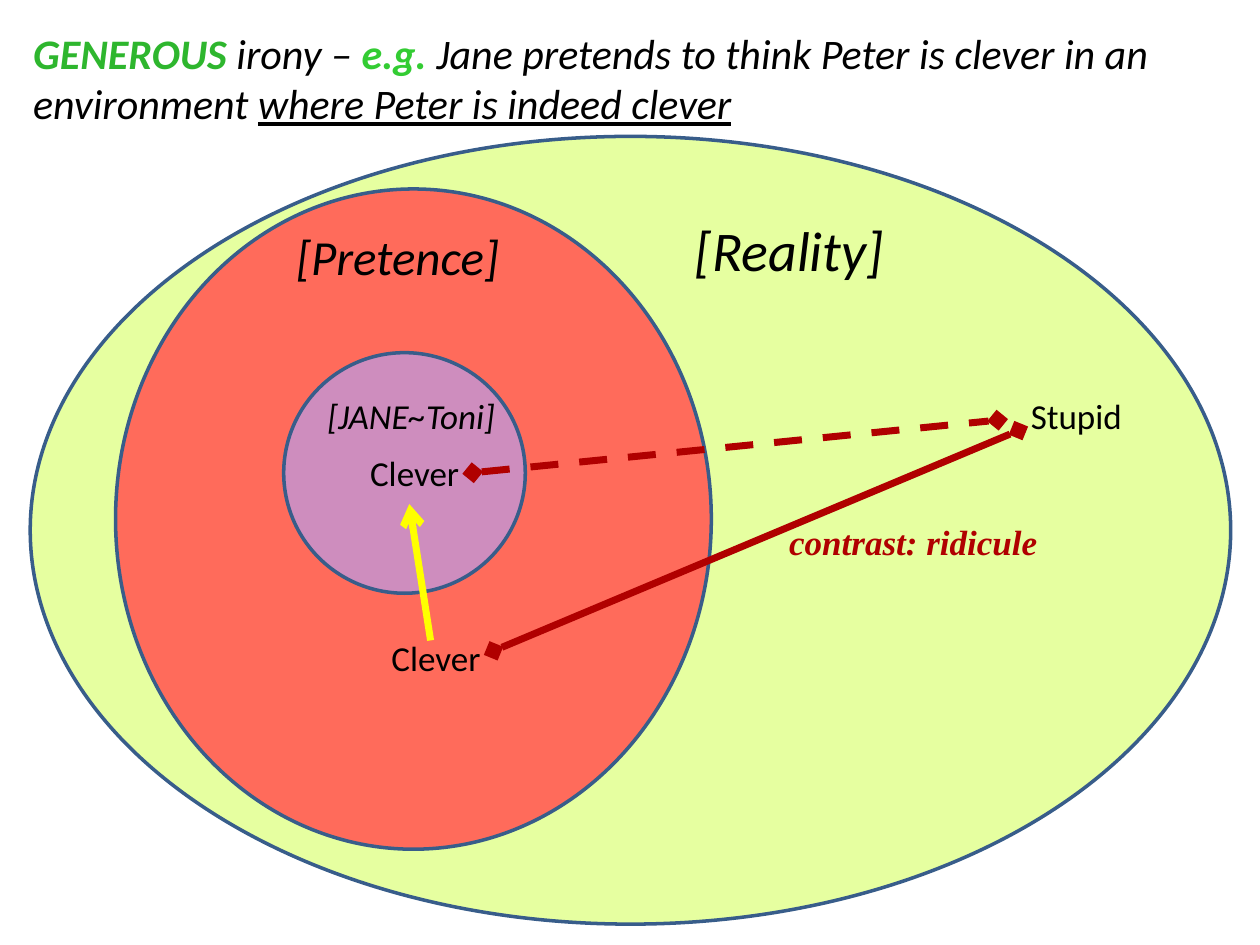
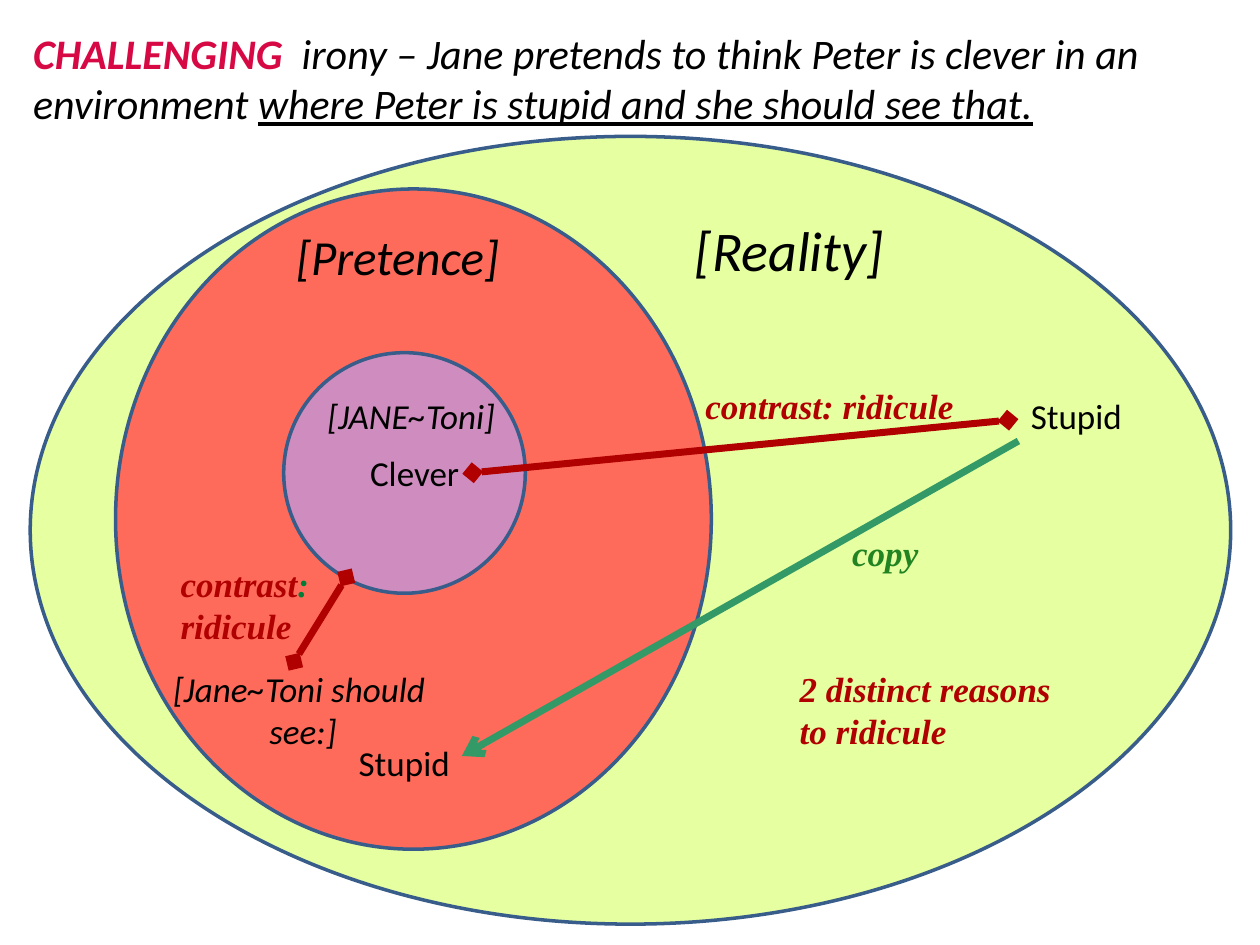
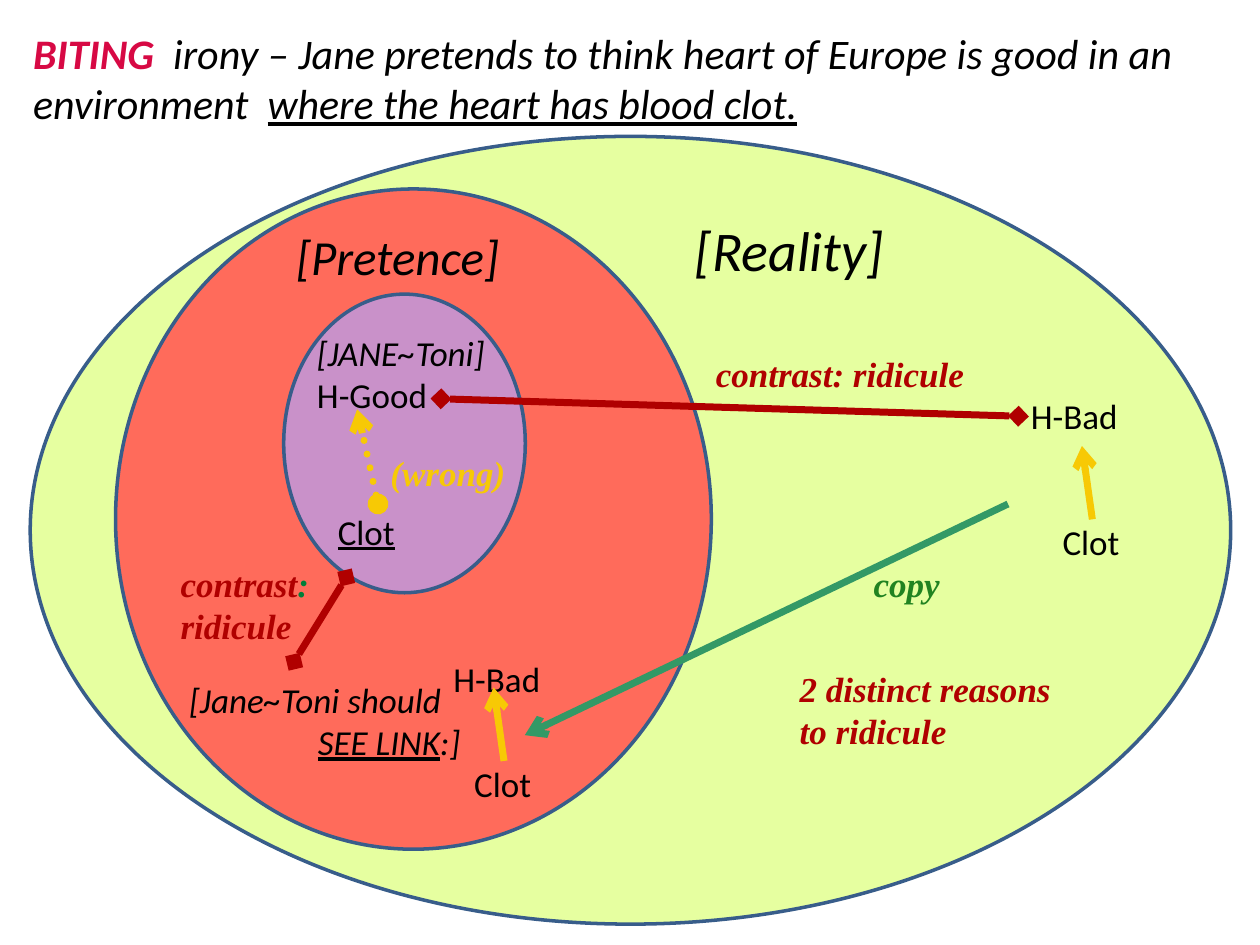
from lxml.etree import SubElement
from pptx import Presentation
from pptx.dml.color import RGBColor
from pptx.enum.dml import MSO_LINE
from pptx.enum.shapes import MSO_CONNECTOR, MSO_SHAPE
from pptx.enum.text import MSO_AUTO_SIZE, PP_ALIGN
from pptx.oxml.ns import qn
from pptx.util import Cm, Pt

BLACK = RGBColor(0x00, 0x00, 0x00)
OUTLINE_BLUE = RGBColor(0x38, 0x5D, 0x8A)
REALITY_LIME = RGBColor(0xDD, 0xFF, 0x7D)
PRETENCE_RED = RGBColor(0xFF, 0x6B, 0x5B)
MIND_MAUVE = RGBColor(0xC9, 0x91, 0xC9)
CONTRAST_RED = RGBColor(0xB0, 0x00, 0x00)
COPY_LINE_GREEN = RGBColor(0x33, 0x99, 0x66)
COPY_TEXT_GREEN = RGBColor(0x21, 0x83, 0x21)
COLON_GREEN = RGBColor(0x00, 0x7E, 0x39)
GENEROUS_GREEN = RGBColor(0x2E, 0xB6, 0x2E)
EXAMPLE_GREEN = RGBColor(0x33, 0xCC, 0x33)
HARSH_PINK = RGBColor(0xD7, 0x09, 0x44)
YELLOW = RGBColor(0xFF, 0xFF, 0x00)
GOLD = RGBColor(0xF7, 0xC9, 0x05)

PLAIN = {"name": "Calibri", "size": Pt(20), "color": BLACK}
ITALIC = {**PLAIN, "italic": True}
UNDERLINED = {**PLAIN, "underline": True}
TITLE = {**ITALIC, "size": Pt(24)}
TITLE_UNDERLINED = {**TITLE, "underline": True}
NOTE = {"name": "Times New Roman", "size": Pt(20), "bold": True,
        "italic": True, "color": CONTRAST_RED}

ONE_LINE, TWO_LINES = 1.12, 1.96
ROUND_MIND = (5.72, 7.11, 4.87, 4.85)
TALL_MIND = (5.72, 5.93, 4.87, 6.02)


def title_key(text, color):
    return text, {**TITLE, "bold": True, "color": color}


def add_runs(paragraph, runs):
    for text, format_values in runs:
        run = paragraph.add_run()
        run.text = text
        for attribute, value in format_values.items():
            if attribute == "color":
                run.font.color.rgb = value
            else:
                setattr(run.font, attribute, value)


def add_text(slide, left, top, width, height, *paragraphs, align=PP_ALIGN.LEFT):
    """Add a text box; each paragraph is a list of (text, format) runs."""
    box = slide.shapes.add_textbox(Cm(left), Cm(top), Cm(width), Cm(height))
    frame = box.text_frame
    frame.word_wrap = True
    frame.auto_size = MSO_AUTO_SIZE.SHAPE_TO_FIT_TEXT
    for index, runs in enumerate(paragraphs):
        paragraph = frame.add_paragraph() if index else frame.paragraphs[0]
        paragraph.alignment = align
        add_runs(paragraph, runs)
    return box


def add_label(slide, text, left, top, width, format_values=PLAIN, **options):
    return add_text(slide, left, top, width, ONE_LINE,
                    [(text, format_values)], **options)


def add_ellipse(slide, box, color, opacity=100):
    ellipse = slide.shapes.add_shape(MSO_SHAPE.OVAL, *map(Cm, box))
    ellipse.shadow.inherit = False
    ellipse.fill.solid()
    ellipse.fill.fore_color.rgb = color
    ellipse.line.color.rgb = OUTLINE_BLUE
    ellipse.line.width = Pt(2)
    if opacity < 100:
        fill_color = ellipse.element.spPr.find(qn("a:solidFill"))[0]
        SubElement(fill_color, qn("a:alpha"), val=str(opacity * 1000))


def add_link(slide, start, end, color, head=None, tail=None, dash=None):
    """Draw a thick line with optional end marks at its start and end."""
    link = slide.shapes.add_connector(MSO_CONNECTOR.STRAIGHT, *map(Cm, start + end))
    link.line.color.rgb = color
    link.line.width = Pt(4)
    if dash:
        link.line.dash_style = dash
    properties = link.element.spPr
    outline = properties.find(qn("a:ln"))
    if dash == MSO_LINE.ROUND_DOT:
        outline.set("cap", "rnd")
    for tag, mark in (("a:headEnd", head), ("a:tailEnd", tail)):
        if mark:
            SubElement(outline, qn(tag), type=mark)
    SubElement(properties, qn("a:effectLst"))
    return link


def add_contrast(slide, start, end, dash=None):
    return add_link(slide, start, end, CONTRAST_RED, "diamond", "diamond", dash)


def add_irony_slide(presentation, title_runs, mind_box, mind_opacity=90):
    """Add a slide with its title and the nested worlds."""
    slide = presentation.slides.add_slide(presentation.slide_layouts[6])
    add_ellipse(slide, (0.61, 2.75, 24.2, 15.88), REALITY_LIME, 73)
    add_ellipse(slide, (2.33, 3.81, 12.01, 13.31), PRETENCE_RED)
    add_text(slide, 13.76, 4.23, 7.01, 1.63,
             [("[Reality]", {**ITALIC, "size": Pt(32)})])
    add_text(slide, 5.72, 4.45, 5.29, 1.45,
             [("[Pretence]", {**ITALIC, "size": Pt(28)})])
    add_ellipse(slide, mind_box, MIND_MAUVE, mind_opacity)
    add_text(slide, 0.42, 0.42, 23.92, 2.28, title_runs)
    return slide


def add_clever_mind(slide):
    add_label(slide, "Clever", 5.5, 8.97, 5.72, align=PP_ALIGN.CENTER)
    add_label(slide, "[JANE~Toni]", 6.35, 7.83, 4.02, ITALIC)
    add_label(slide, "Stupid", 20.53, 7.83, 4.23)


def add_ridicule_label(slide, left, top):
    add_label(slide, "contrast: ridicule", left, top, 6.14, NOTE)


def add_double_ridicule(slide):
    """Add the second contrast and the remark on two reasons."""
    add_contrast(slide, (6.98, 11.64), (5.93, 13.34))
    add_text(slide, 3.39, 11.22, 3.39, TWO_LINES,
             [("contrast", NOTE), (":", {**NOTE, "color": COLON_GREEN}),
              (" ridicule", NOTE)])
    add_text(slide, 15.87, 13.34, 6.14, TWO_LINES,
             [("2 distinct reasons to ridicule", NOTE)])


def add_copy(slide, start, end, label_left, label_top):
    add_link(slide, start, end, COPY_LINE_GREEN, head="arrow")
    add_label(slide, "copy", label_left, label_top, 1.91,
              {**NOTE, "color": COPY_TEXT_GREEN})


def add_clot_cause(slide, left, top):
    """Add a Clot label with the arrow to the state that it causes."""
    add_label(slide, "Clot", left, top, 2.33)
    add_link(slide, (left + 0.85, top + 0.1), (left + 0.64, top - 1.38),
             GOLD, tail="arrow")


def add_generous(presentation):
    slide = add_irony_slide(presentation, [
        title_key("GENEROUS", GENEROUS_GREEN), (" irony – ", TITLE),
        title_key("e.g.", EXAMPLE_GREEN),
        (" Jane pretends to think Peter is clever in an environment ", TITLE),
        ("where Peter is indeed clever", TITLE_UNDERLINED)], ROUND_MIND)
    add_clever_mind(slide)
    add_contrast(slide, (9.95, 13.12), (20.53, 8.68))
    add_ridicule_label(slide, 15.66, 10.37)
    add_label(slide, "Clever", 5.93, 12.7, 5.72, align=PP_ALIGN.CENTER)
    add_contrast(slide, (9.53, 9.53), (20.11, 8.47), MSO_LINE.DASH)
    add_link(slide, (8.68, 12.91), (8.25, 10.16), YELLOW, tail="arrow")


def add_challenging(presentation):
    slide = add_irony_slide(presentation, [
        title_key("CHALLENGING", HARSH_PINK),
        ("  irony – Jane pretends to think Peter is clever in an environment ", TITLE),
        ("where Peter is stupid and she should see that.", TITLE_UNDERLINED)],
        ROUND_MIND)
    add_clever_mind(slide)
    add_copy(slide, (9.31, 15.24), (20.53, 8.89), 16.93, 10.58)
    add_label(slide, "Stupid", 5.29, 14.82, 5.72, align=PP_ALIGN.CENTER)
    add_contrast(slide, (9.53, 9.53), (20.32, 8.47))
    add_text(slide, 2.96, 13.34, 6.14, TWO_LINES,
             [("[Jane~Toni should", ITALIC)], [(" see:]", ITALIC)],
             align=PP_ALIGN.CENTER)
    add_double_ridicule(slide)
    add_ridicule_label(slide, 13.97, 7.62)


def add_biting(presentation):
    slide = add_irony_slide(presentation, [
        title_key("BITING", HARSH_PINK),
        ("  irony – Jane pretends to think heart of Europe is good in an environment  ",
         TITLE),
        ("where the heart has blood clot.", TITLE_UNDERLINED)],
        TALL_MIND, mind_opacity=100)
    real_state = add_label(slide, "H-Bad", 20.53, 7.83, 3.39)
    add_label(slide, "H-Bad", 8.89, 13.12, 3.39)
    add_clot_cause(slide, 21.17, 10.37)
    add_clot_cause(slide, 9.31, 15.24)
    add_label(slide, "[JANE~Toni]", 6.14, 6.56, 4.02, ITALIC)
    add_label(slide, "H-Good", 6.14, 7.41, 2.96)
    add_label(slide, "Clot", 6.56, 10.16, 2.33, UNDERLINED)
    add_link(slide, (7.62, 10.16), (7.2, 8.25), GOLD, "oval", "arrow",
             MSO_LINE.ROUND_DOT)
    add_label(slide, "(wrong)", 7.62, 8.97, 2.96, {**NOTE, "color": GOLD})
    add_copy(slide, (10.58, 14.82), (20.32, 10.16), 17.36, 11.22)
    add_contrast(slide, (8.89, 8.04), (20.53, 8.39)).end_connect(real_state, 1)
    add_ridicule_label(slide, 14.18, 6.98)
    should_see = add_text(
        slide, 3.18, 13.55, 6.35, TWO_LINES,
        [("[Jane~Toni should", ITALIC)],
        [("SEE LINK", {**ITALIC, "underline": True}), (":]", ITALIC)],
        align=PP_ALIGN.CENTER)
    should_see.text_frame.paragraphs[1].alignment = PP_ALIGN.RIGHT
    add_double_ridicule(slide)


def main():
    presentation = Presentation()
    presentation.slide_width = Cm(25.4)
    presentation.slide_height = Cm(19.05)
    add_generous(presentation)
    add_challenging(presentation)
    add_biting(presentation)
    presentation.save("out.pptx")


if __name__ == "__main__":
    main()
